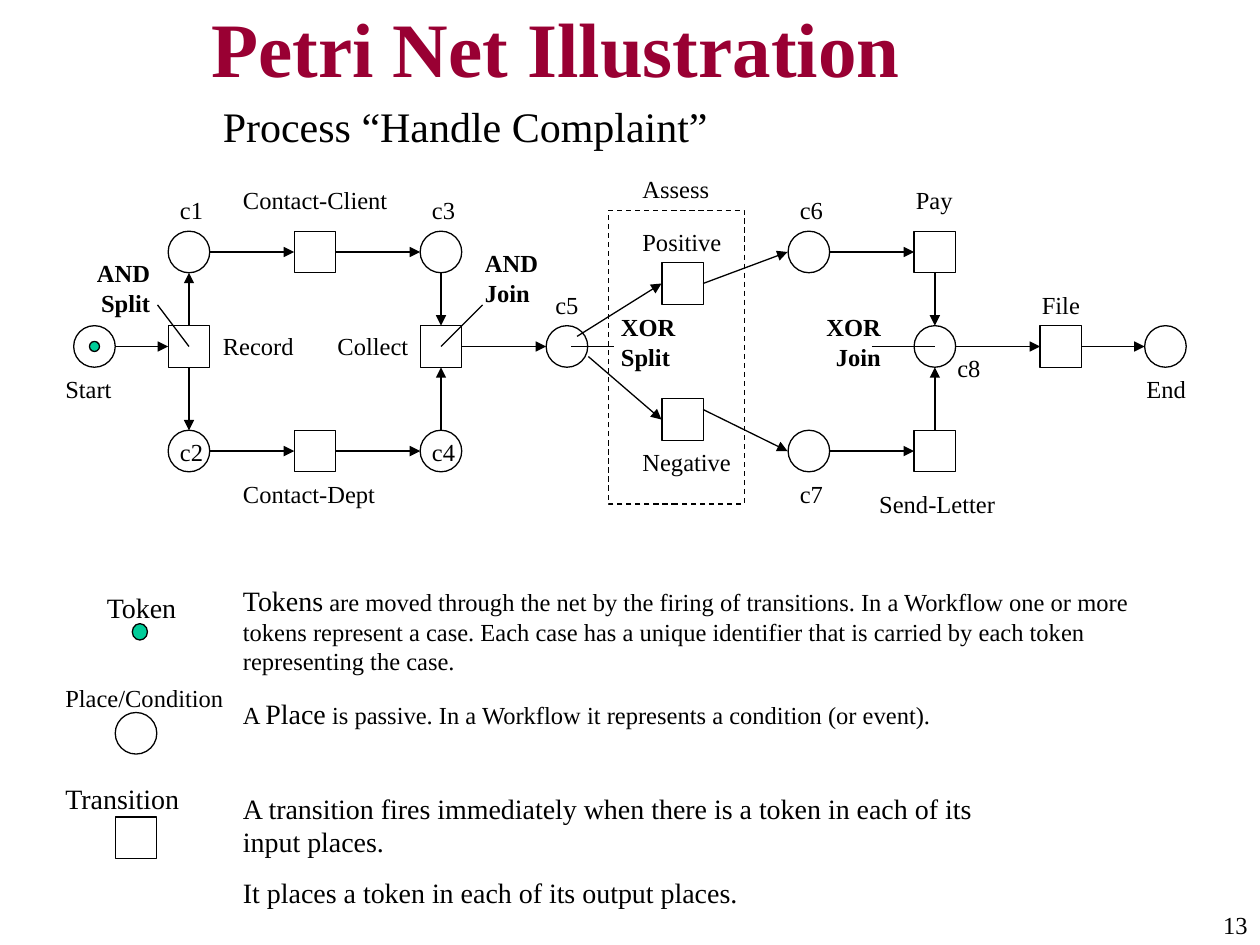
"""Build the Petri net slide for the process "Handle Complaint"."""
from dataclasses import dataclass

from lxml import etree
from pptx import Presentation
from pptx import util as u
from pptx.dml.color import RGBColor
from pptx.enum import dml, shapes, text
from pptx.oxml import ns

BLACK = RGBColor(0x00, 0x00, 0x00)
CRIMSON = RGBColor(0x99, 0x00, 0x33)
GREEN = RGBColor(0x00, 0xCC, 0x99)
FONT = "Times New Roman"
PLACE = shapes.MSO_SHAPE.OVAL
TRANSITION = shapes.MSO_SHAPE.RECTANGLE
LEFT, RIGHT = text.PP_ALIGN.LEFT, text.PP_ALIGN.RIGHT
SIZE = 0.33
TOP, MID, LOW = 2, 2.75, 3.58


@dataclass(frozen=True)
class Node:
    kind: shapes.MSO_SHAPE
    x: float
    y: float


@dataclass(frozen=True)
class Run:
    text: str
    size: float = 14
    bold: bool = False
    color: RGBColor = BLACK


@dataclass(frozen=True)
class Label:
    x: float
    y: float
    w: float
    h: float
    paragraphs: tuple[tuple[Run, ...], ...]
    align: text.PP_ALIGN = LEFT
    before: float = 0
    anchor: text.MSO_ANCHOR = text.MSO_ANCHOR.TOP


def label(x: float, y: float, w: float, words: str, size: float = 14) -> Label:
    return Label(x, y, w, 0.34, ((Run(words, size),),))


def callout(x: float, y: float, w: float, words: str, align: text.PP_ALIGN = LEFT) -> Label:
    return Label(x, y, w, 0.57, ((Run(words, bold=True),),), align)


NODES = {
    "start": Node(PLACE, 0.75, MID),
    "record": Node(TRANSITION, 1.5, MID),
    "c1": Node(PLACE, 1.5, TOP),
    "c2": Node(PLACE, 1.5, LOW),
    "client": Node(TRANSITION, 2.5, TOP),
    "dept": Node(TRANSITION, 2.5, LOW),
    "c3": Node(PLACE, 3.5, TOP),
    "c4": Node(PLACE, 3.5, LOW),
    "collect": Node(TRANSITION, 3.5, MID),
    "c5": Node(PLACE, 4.5, MID),
    "positive": Node(TRANSITION, 5.42, 2.25),
    "negative": Node(TRANSITION, 5.42, 3.33),
    "c6": Node(PLACE, 6.42, TOP),
    "c7": Node(PLACE, 6.42, LOW),
    "pay": Node(TRANSITION, 7.42, TOP),
    "letter": Node(TRANSITION, 7.42, LOW),
    "c8": Node(PLACE, 7.42, MID),
    "file": Node(TRANSITION, 8.42, MID),
    "end": Node(PLACE, 9.25, MID),
}
FLOWS = (
    ("start", "record"), ("record", "c1"), ("record", "c2"),
    ("c1", "client"), ("client", "c3"), ("c2", "dept"), ("dept", "c4"),
    ("c3", "collect"), ("c4", "collect"), ("collect", "c5"),
    ("c6", "pay"), ("c7", "letter"), ("pay", "c8"), ("letter", "c8"),
    ("c8", "file"), ("file", "end"),
)
SLANTED_FLOWS = (
    (4.58, 2.67, 5.25, 2.25), (4.67, 2.83, 5.25, 3.33),
    (5.58, 2.25, 6.25, 2), (5.58, 3.25, 6.25, 3.58),
)
POINTERS = (
    (1.25, 2.42, 1.5, MID), (3.83, 2.42, 3.5, MID),
    (4.87, MID, 4.53, MID), (6.92, MID, 7.42, MID),
)
LEGEND = (Node(PLACE, 1.08, 5.82), Node(TRANSITION, 1.08, 6.65))
LABELS = (
    Label(1.58, 0.08, 8.42, 0.58, ((Run("Petri Net Illustration", 44, True, CRIMSON),),),
          anchor=text.MSO_ANCHOR.MIDDLE),
    Label(8.58, 7.17, 1.42, 0.33, ((Run("13"),),), RIGHT),
    label(1.67, 0.75, 4.17, "Process “Handle Complaint”", 24),
    label(0.42, 2.92, 0.7, "Start"), label(9, 2.92, 0.58, "End"),
    label(1.83, 1.42, 1.58, "Contact-Client"), label(1.83, 3.75, 1.58, "Contact-Dept"),
    label(1.67, 2.58, 0.83, "Record"), label(2.58, 2.58, 0.83, "Collect"),
    label(5, 1.33, 0.83, "Assess"), label(5, 1.75, 0.83, "Positive"),
    label(5, 3.5, 0.92, "Negative"), label(7.17, 1.42, 0.67, "Pay"),
    label(6.88, 3.83, 1.17, "Send-Letter"), label(8.17, 2.25, 0.67, "File"),
    label(1.33, 1.5, 0.5, "c1"), label(1.33, 3.42, 0.5, "c2"),
    label(3.33, 1.5, 0.5, "c3"), label(3.33, 3.42, 0.5, "c4"),
    label(4.31, 2.25, 0.5, "c5"), label(6.25, 1.5, 0.5, "c6"),
    label(6.25, 3.75, 0.5, "c7"), label(7.5, 2.75, 0.5, "c8"),
    callout(0.54, 2, 0.75, "AND Split", RIGHT), callout(3.75, 1.92, 0.75, "AND Join"),
    callout(4.83, 2.43, 0.67, "XOR Split"), callout(6.42, 2.43, 0.67, "XOR Join", RIGHT),
    label(0.75, 4.64, 0.83, "Token", 16),
    label(0.42, 5.37, 1.5, "Place/Condition"),
    label(0.42, 6.15, 1.25, "Transition", 16),
    Label(1.83, 4.58, 7.67, 0.84, ((
        Run("Tokens", 16),
        Run(" are moved through the net by the firing of transitions. In a Workflow one or more "
            "tokens represent a case. Each case has a unique identifier that is carried by each "
            "token representing the case."),
    ),)),
    Label(1.83, 5.48, 5.67, 0.6, ((
        Run("A "), Run("Place", 16),
        Run(" is passive. In a Workflow it represents a condition (or event)."),
    ),)),
    Label(1.83, 6.23, 6.42, 1.04, (
        (Run("A transition fires immediately when there is a token in each of its input places.", 16),),
        (Run("It places a token in each of its output places.", 16),),
    ), before=10),
)


def add_outline(s, kind: shapes.MSO_SHAPE, x: float, y: float, w: float, h: float,
                fill: RGBColor | None = None, dashed: bool = False) -> None:
    sp = s.shapes.add_shape(kind, u.Inches(x), u.Inches(y), u.Inches(w), u.Inches(h))
    sp.shadow.inherit = False
    if fill is None:
        sp.fill.background()
    else:
        sp.fill.solid()
        sp.fill.fore_color.rgb = fill
    sp.line.color.rgb = BLACK
    sp.line.width = u.Pt(0.75)
    if dashed:
        sp.line.dash_style = dml.MSO_LINE.DASH


def add_node(s, node: Node) -> None:
    add_outline(s, node.kind, node.x - SIZE / 2, node.y - SIZE / 2, SIZE, SIZE)


def add_line(s, x1: float, y1: float, x2: float, y2: float, arrow: bool = True) -> None:
    c = s.shapes.add_connector(shapes.MSO_CONNECTOR.STRAIGHT,
                               u.Inches(x1), u.Inches(y1), u.Inches(x2), u.Inches(y2))
    c.line.color.rgb = BLACK
    c.line.width = u.Pt(0.75)
    if arrow:
        etree.SubElement(c.line._get_or_add_ln(), ns.qn("a:tailEnd"), type="triangle")
    etree.SubElement(c._element.spPr, ns.qn("a:effectLst"))


def add_flow(s, a: Node, b: Node) -> None:
    dx = SIZE / 2 * ((b.x > a.x) - (b.x < a.x))
    dy = SIZE / 2 * ((b.y > a.y) - (b.y < a.y))
    add_line(s, a.x + dx, a.y + dy, b.x - dx, b.y - dy)


def add_label(s, item: Label) -> None:
    sp = s.shapes.add_textbox(u.Inches(item.x), u.Inches(item.y), u.Inches(item.w), u.Inches(item.h))
    tf = sp.text_frame
    tf.word_wrap = True
    tf.vertical_anchor = item.anchor
    for i, runs in enumerate(item.paragraphs):
        p = tf.add_paragraph() if i else tf.paragraphs[0]
        p.alignment = item.align
        if i:
            p.space_before = u.Pt(item.before)
        for run in runs:
            r = p.add_run()
            r.text = run.text
            r.font.name = FONT
            r.font.size = u.Pt(run.size)
            r.font.bold = run.bold
            r.font.color.rgb = run.color


def main() -> None:
    prs = Presentation()
    prs.slide_width, prs.slide_height = u.Inches(10), u.Inches(7.5)
    s = prs.slides.add_slide(prs.slide_layouts[6])
    for node in (*NODES.values(), *LEGEND):
        add_node(s, node)
    for a, b in FLOWS:
        add_flow(s, NODES[a], NODES[b])
    for ends in SLANTED_FLOWS:
        add_line(s, *ends)
    for ends in POINTERS:
        add_line(s, *ends, arrow=False)
    add_outline(s, TRANSITION, 4.83, 1.67, 1.08, 2.33, dashed=True)
    add_outline(s, PLACE, 0.71, 2.71, 0.08, 0.08, GREEN)
    add_outline(s, PLACE, 1.05, 4.95, 0.12, 0.13, GREEN)
    for item in LABELS:
        add_label(s, item)
    prs.save("out.pptx")


if __name__ == "__main__":
    main()
